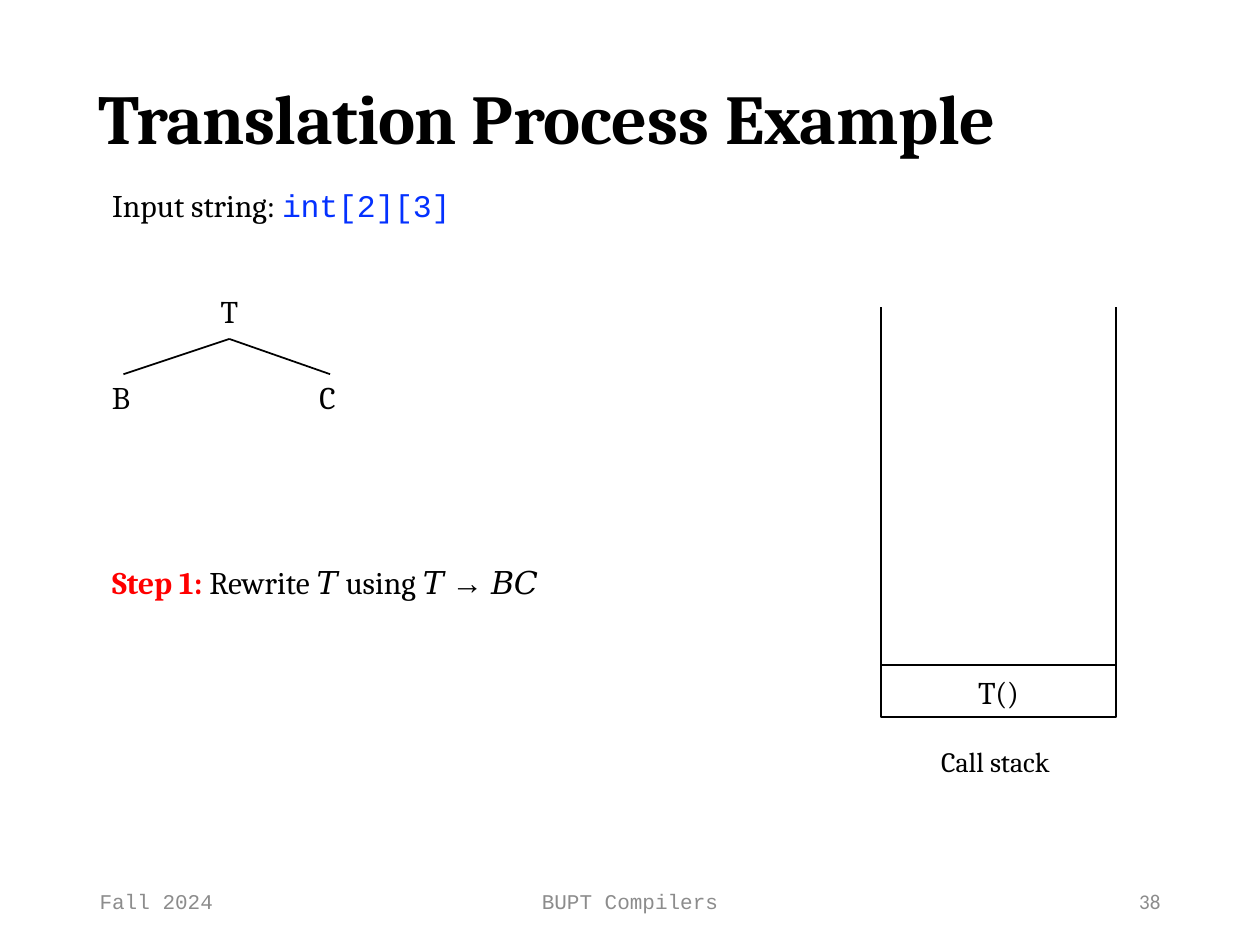
from dataclasses import dataclass

from lxml import etree
from pptx import Presentation
from pptx import util as u
from pptx.dml.color import RGBColor
from pptx.enum import shapes, text
from pptx.oxml.ns import qn

COLUMNS, ROWS = 100, 75
WIDTH, HEIGHT = u.Inches(10), u.Inches(7.5)
LEFT, CENTER, RIGHT = text.PP_ALIGN.LEFT, text.PP_ALIGN.CENTER, text.PP_ALIGN.RIGHT
TOP, MIDDLE = text.MSO_ANCHOR.TOP, text.MSO_ANCHOR.MIDDLE


@dataclass(frozen=True)
class Theme:
    """Colours, fonts and sizes of the slide."""
    ink: str = "000000"
    code: str = "0431FF"
    step: str = "FF0000"
    muted: str = "8C8C8C"
    serif: str = "Cambria"
    mono: str = "Courier New"
    math: str = "Times New Roman"
    sans: str = "Calibri"
    title: int = 40
    body: int = 18
    caption: int = 16
    footer: int = 12
    line: int = 1


THEME = Theme()


@dataclass(frozen=True)
class Piece:
    """A stretch of text in one format."""
    words: str
    color: str = THEME.ink
    font: str = THEME.serif
    bold: bool = False
    spacing: float = 0


def x(column):
    """Return the distance of a column from the left edge."""
    return round(WIDTH * column / COLUMNS)


def y(row):
    """Return the distance of a row from the top edge."""
    return round(HEIGHT * row / ROWS)


def place(shape, left, top, width, height):
    """Put a shape on the grid."""
    shape.left, shape.top, shape.width, shape.height = x(left), y(top), x(width), y(height)


def write(shape, pieces, size, align=LEFT, anchor=TOP, wrap=True):
    """Fill a shape with one paragraph of formatted pieces."""
    frame = shape.text_frame
    frame.word_wrap = wrap
    frame.auto_size = text.MSO_AUTO_SIZE.NONE
    frame.vertical_anchor = anchor
    frame.margin_left = frame.margin_right = frame.margin_bottom = 0
    frame.margin_top = u.Inches(0.01)
    paragraph = frame.paragraphs[0]
    paragraph.alignment = align
    for piece in pieces:
        run = paragraph.add_run()
        run.text = piece.words
        run.font.name, run.font.size, run.font.bold = piece.font, u.Pt(size), piece.bold
        run.font.color.rgb = RGBColor.from_string(piece.color)
        if piece.spacing:
            run._r.get_or_add_rPr().set("spc", str(round(piece.spacing * 100)))


def add_title(slide, pieces):
    """Write the slide title."""
    place(slide.shapes.title, 7.8, 5.8, 85.5, 6.9)
    write(slide.shapes.title, pieces, THEME.title)


def add_label(slide, grid_box, pieces, size=THEME.body, **options):
    """Add a text box on the grid."""
    box = slide.shapes.add_textbox(0, 0, 0, 0)
    place(box, *grid_box)
    write(box, pieces, size, **options)


def add_line(slide, start, end):
    """Draw a straight line between two grid points."""
    line = slide.shapes.add_connector(
        shapes.MSO_CONNECTOR.STRAIGHT, x(start[0]), y(start[1]), x(end[0]), y(end[1]))
    line.line.color.rgb = RGBColor.from_string(THEME.ink)
    line.line.width = u.Pt(THEME.line)
    etree.SubElement(line._element.spPr, qn("a:effectLst"))


def add_tree(slide, root, leaves):
    """Draw a root with an edge to each of its leaves."""
    name, column = root
    add_label(slide, (column - 2, 23.1, 4, 3.3), [Piece(name)], align=CENTER, wrap=False)
    for leaf, leaf_column in leaves:
        add_line(slide, (column, 26.9), (leaf_column, 29.7))
        add_label(slide, (leaf_column - 2.2, 29.9, 4, 3.3), [Piece(leaf)],
                  align=CENTER, wrap=False)


def add_stack(slide, frames, caption):
    """Draw an open stack with its frames piled from the bottom."""
    left, width, top, bottom, frame_height = 69.9, 18.7, 24.4, 56.9, 4.1
    for wall in (left, left + width):
        add_line(slide, (wall, top), (wall, bottom))
    for level, name in enumerate(frames, start=1):
        cell = slide.shapes.add_shape(shapes.MSO_SHAPE.RECTANGLE, 0, 0, 0, 0)
        place(cell, left, bottom - level * frame_height, width, frame_height)
        cell.shadow.inherit = False
        cell.fill.background()
        cell.line.color.rgb = RGBColor.from_string(THEME.ink)
        cell.line.width = u.Pt(THEME.line)
        write(cell, [Piece(name, spacing=-0.2)], THEME.body, CENTER, MIDDLE)
    add_label(slide, (left, bottom + 2.1, width - 0.5, 2.9), [Piece(caption)],
              THEME.caption, align=CENTER)


def add_footer(slide):
    """Write the date, course and page number."""
    for left, width, words, font, align in (
        (7.9, 20.5, "Fall 2024", THEME.mono, LEFT),
        (33.1, 33.8, "BUPT Compilers", THEME.mono, CENTER),
        (71.6, 20.5, "38", THEME.sans, RIGHT),
    ):
        add_label(slide, (left, 69.5, width, 4), [Piece(words, THEME.muted, font)],
                  THEME.footer, align=align, anchor=MIDDLE)


def main():
    """Build and save the slide."""
    presentation = Presentation()
    presentation.slide_width, presentation.slide_height = WIDTH, HEIGHT
    slide = presentation.slides.add_slide(presentation.slide_layouts.get_by_name("Title Only"))
    add_title(slide, [Piece("Translation ", bold=True, spacing=-0.3),
                      Piece("Process ", bold=True),
                      Piece("Example", bold=True, spacing=-0.1)])
    add_label(slide, (8.9, 14.7, 40, 3.3), [
        Piece("Input string: "),
        Piece("int[2][3]", THEME.code, THEME.mono, spacing=-0.1)])
    add_tree(slide, ("T", 18.2), [("B", 9.8), ("C", 26.2)])
    add_label(slide, (8.9, 44.6, 40, 3.3), [
        Piece("Step 1: ", THEME.step, bold=True),
        Piece("Rewrite "),
        Piece("𝑇 ", font=THEME.math),
        Piece("using "),
        Piece("𝑇 → ", font=THEME.math),
        Piece("𝐵𝐶", font=THEME.math, spacing=-0.2)])
    add_stack(slide, ["T()"], "Call stack")
    add_footer(slide)
    presentation.save("out.pptx")


if __name__ == "__main__":
    main()
